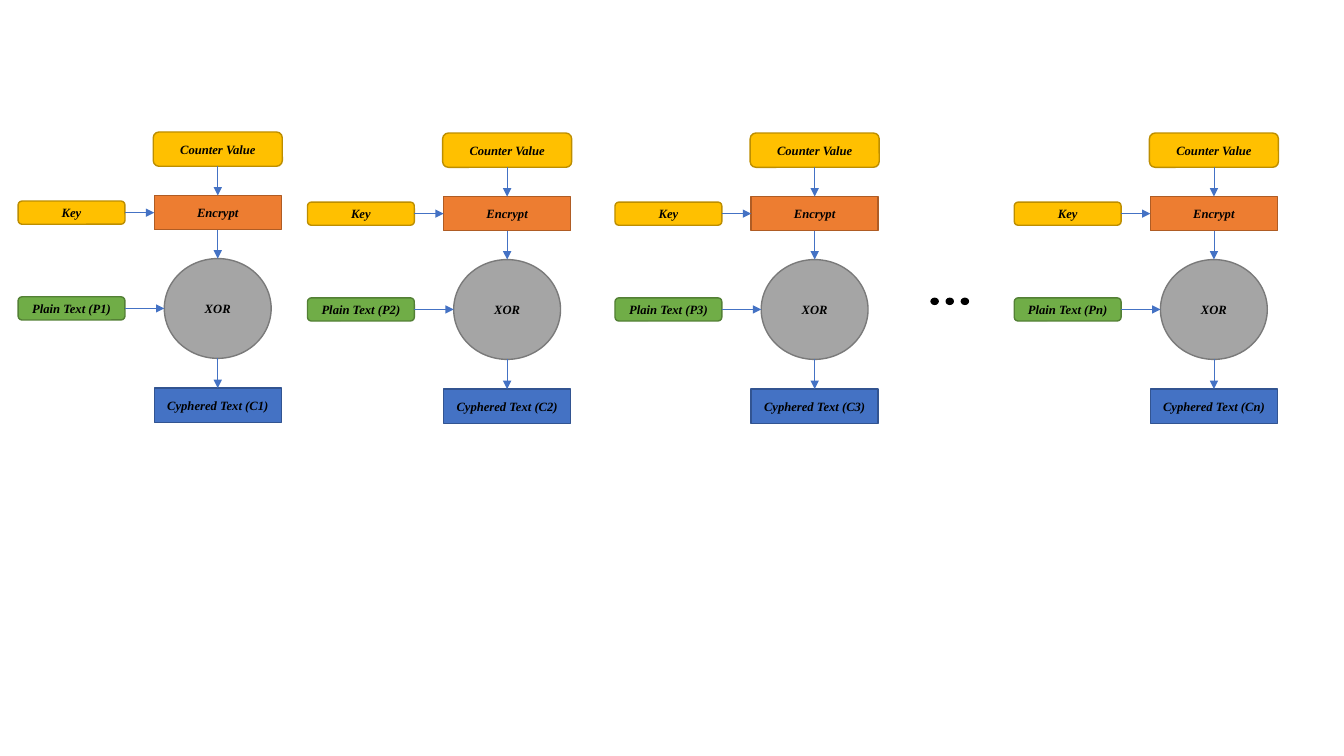
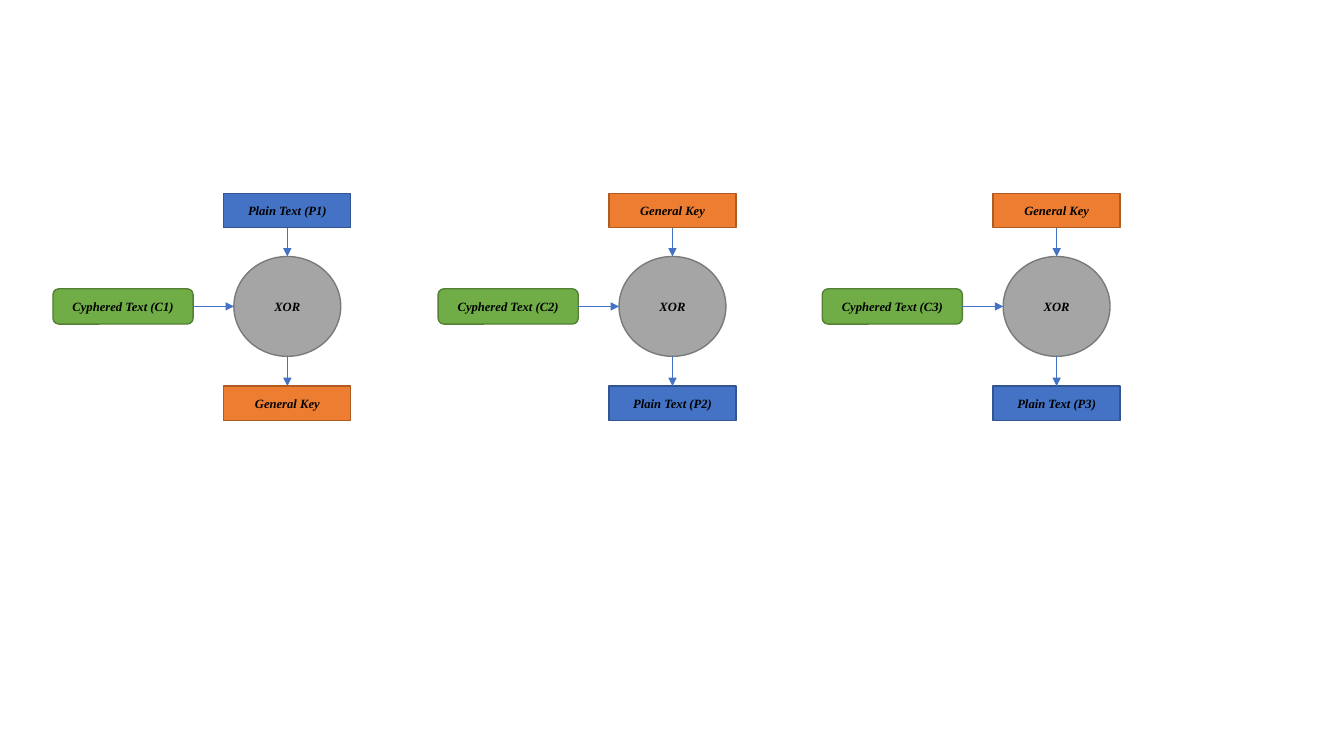
from pptx import Presentation
from pptx.dml.color import RGBColor
from pptx.enum import shapes, text
from pptx.oxml import ns
from pptx.util import Inches, Pt
from lxml import etree

COLORS = {
    "yellow": ("FFC000", "BD8E00"),
    "orange": ("ED7D31", "AF5C24"),
    "green": ("70AD47", "538035"),
    "gray": ("A5A5A5", "7A7A7A"),
    "blue": ("4472C4", "325491"),
    "black": ("000000", "000000"),
}
FONT = "Times New Roman"
RECT = shapes.MSO_SHAPE.RECTANGLE
ROUND = shapes.MSO_SHAPE.ROUNDED_RECTANGLE
OVAL = shapes.MSO_SHAPE.OVAL
TOP, LEFT, BOTTOM, RIGHT = range(4)
BOX_W, BOX_H = 1.26, 0.34
XOR_W, XOR_H = 1.06, 0.99


def rgb(value):
    return RGBColor.from_string(value)


def add_node(parent, kind, color, cx, cy, w, h, label=""):
    sp = parent.add_shape(kind, Inches(cx - w / 2), Inches(cy - h / 2), Inches(w), Inches(h))
    fill, line = COLORS[color]
    sp.shadow.inherit = False
    sp.fill.solid()
    sp.fill.fore_color.rgb = rgb(fill)
    sp.line.color.rgb = rgb(line)
    sp.line.width = Pt(1)
    if label:
        tf = sp.text_frame
        tf.word_wrap = True
        tf.vertical_anchor = text.MSO_ANCHOR.MIDDLE
        tf.margin_left = tf.margin_right = tf.margin_top = tf.margin_bottom = 0
        p = tf.paragraphs[0]
        p.text = label
        p.alignment = text.PP_ALIGN.CENTER
        p.font.name = FONT
        p.font.size = Pt(9)
        p.font.bold = p.font.italic = True
        p.font.color.rgb = rgb(COLORS["black"][0])
    return sp


def side_point(sp, side):
    cx, cy = sp.left + sp.width // 2, sp.top + sp.height // 2
    return {
        TOP: (cx, sp.top),
        LEFT: (sp.left, cy),
        BOTTOM: (cx, sp.top + sp.height),
        RIGHT: (sp.left + sp.width, cy),
    }[side]


def add_arrow(slide, start, start_side, end, end_side):
    line = slide.shapes.add_connector(
        shapes.MSO_CONNECTOR.STRAIGHT, *side_point(start, start_side), *side_point(end, end_side))
    if start.auto_shape_type != OVAL:
        line.begin_connect(start, start_side)
    if end.auto_shape_type != OVAL:
        line.end_connect(end, end_side)
    line.line.color.rgb = rgb(COLORS["blue"][0])
    line.line.width = Pt(0.5)
    sp_pr = line._element.spPr
    etree.SubElement(sp_pr.find(ns.qn("a:ln")), ns.qn("a:tailEnd"), type="triangle")
    etree.SubElement(sp_pr, ns.qn("a:effectLst"))


def add_flow(slide, steps, inputs):
    for above, below in zip(steps, steps[1:]):
        add_arrow(slide, above, BOTTOM, below, TOP)
    for source, target in inputs:
        add_arrow(slide, source, RIGHT, target, LEFT)


def add_counter_block(slide, left, top, index):
    sh = slide.shapes
    cx, side_x = left + 1.98, left + 0.53
    encrypt_y, xor_y = top + 0.8, top + 1.75
    counter = add_node(sh, ROUND, "yellow", cx, top + 0.17, 1.28, BOX_H, "Counter Value")
    key = add_node(sh, ROUND, "yellow", side_x, encrypt_y, 1.06, 0.23, "Key")
    encrypt = add_node(sh, RECT, "orange", cx, encrypt_y, BOX_W, BOX_H, "Encrypt")
    plain = add_node(sh, ROUND, "green", side_x, xor_y, 1.06, 0.23, f"Plain Text (P{index})")
    xor = add_node(sh, OVAL, "gray", cx, xor_y, XOR_W, XOR_H, "XOR")
    cypher = add_node(sh, RECT, "blue", cx, top + 2.71, BOX_W, BOX_H, f"Cyphered Text (C{index})")
    add_flow(slide, [counter, encrypt, xor, cypher], [(key, encrypt), (plain, xor)])


def add_xor_block(slide, left, top, index, first, last):
    sh = slide.shapes
    cx, xor_y = left + 2.33, top + 1.12
    cypher = add_node(sh, ROUND, "green", left + 0.7, xor_y, 1.39, 0.35, f"Cyphered Text (C{index})")
    xor = add_node(sh, OVAL, "gray", cx, xor_y, XOR_W, XOR_H, "XOR")
    source = add_node(sh, RECT, first[0], cx, top + 0.17, BOX_W, BOX_H, first[1])
    result = add_node(sh, RECT, last[0], cx, top + 2.08, BOX_W, BOX_H, last[1])
    add_flow(slide, [source, xor, result], [(cypher, xor)])


def add_ellipsis(slide, left, top):
    dots = slide.shapes.add_group_shape()
    for i in range(3):
        add_node(dots.shapes, OVAL, "black", left + 0.04 + 0.15 * i, top + 0.03, 0.07, 0.06)


def build_encryption(slide):
    blocks = [(0.18, 1.31, "1"), (3.05, 1.32, "2"), (6.1, 1.32, "3"), (10.06, 1.32, "n")]
    for left, top, index in blocks:
        add_counter_block(slide, left, top, index)
    add_ellipsis(slide, 9.23, 2.96)


def build_key_recovery(slide):
    key = ("orange", "General Key")
    for index, left in enumerate((0.52, 4.34, 8.15), 1):
        plain = ("blue", f"Plain Text (P{index})")
        first, last = (plain, key) if index == 1 else (key, plain)
        add_xor_block(slide, left, 1.92, index, first, last)


def main():
    prs = Presentation()
    prs.slide_width, prs.slide_height = Inches(13.33), Inches(7.5)
    for build in (build_encryption, build_key_recovery):
        build(prs.slides.add_slide(prs.slide_layouts[6]))
    prs.save("out.pptx")


if __name__ == "__main__":
    main()
